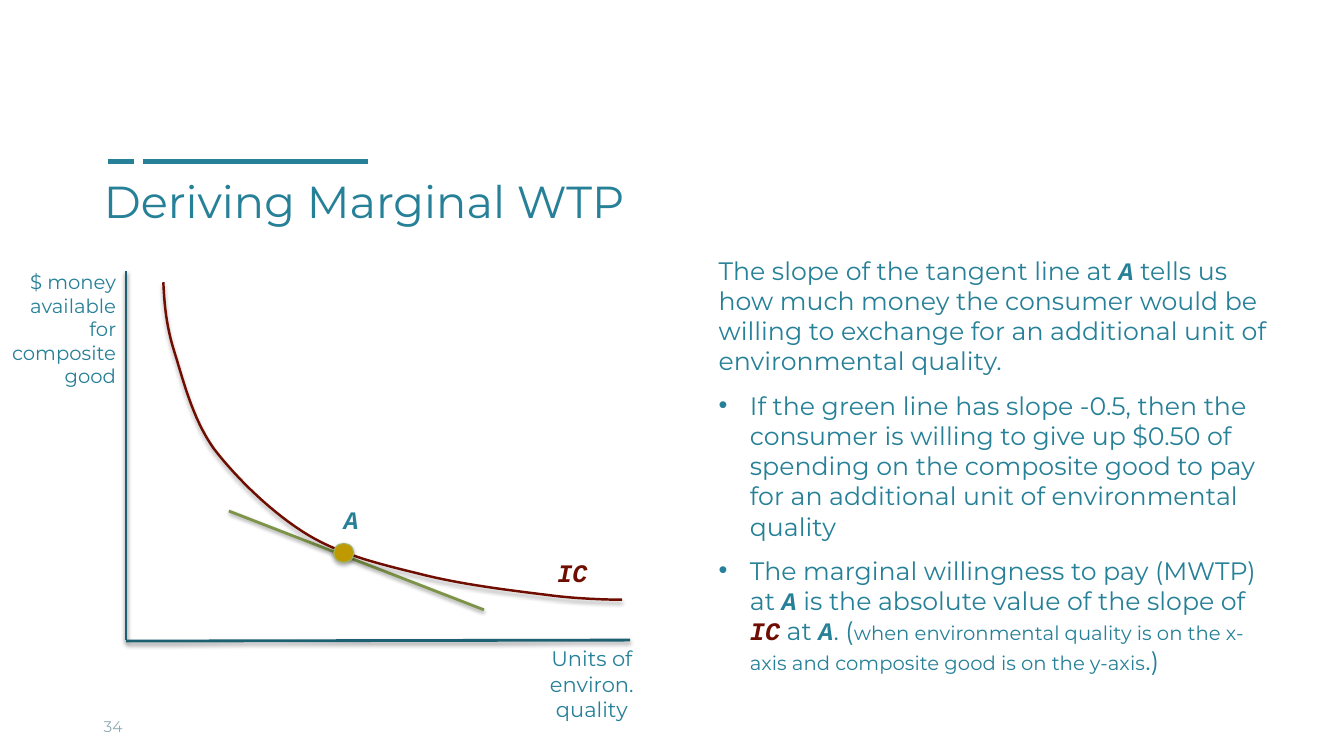
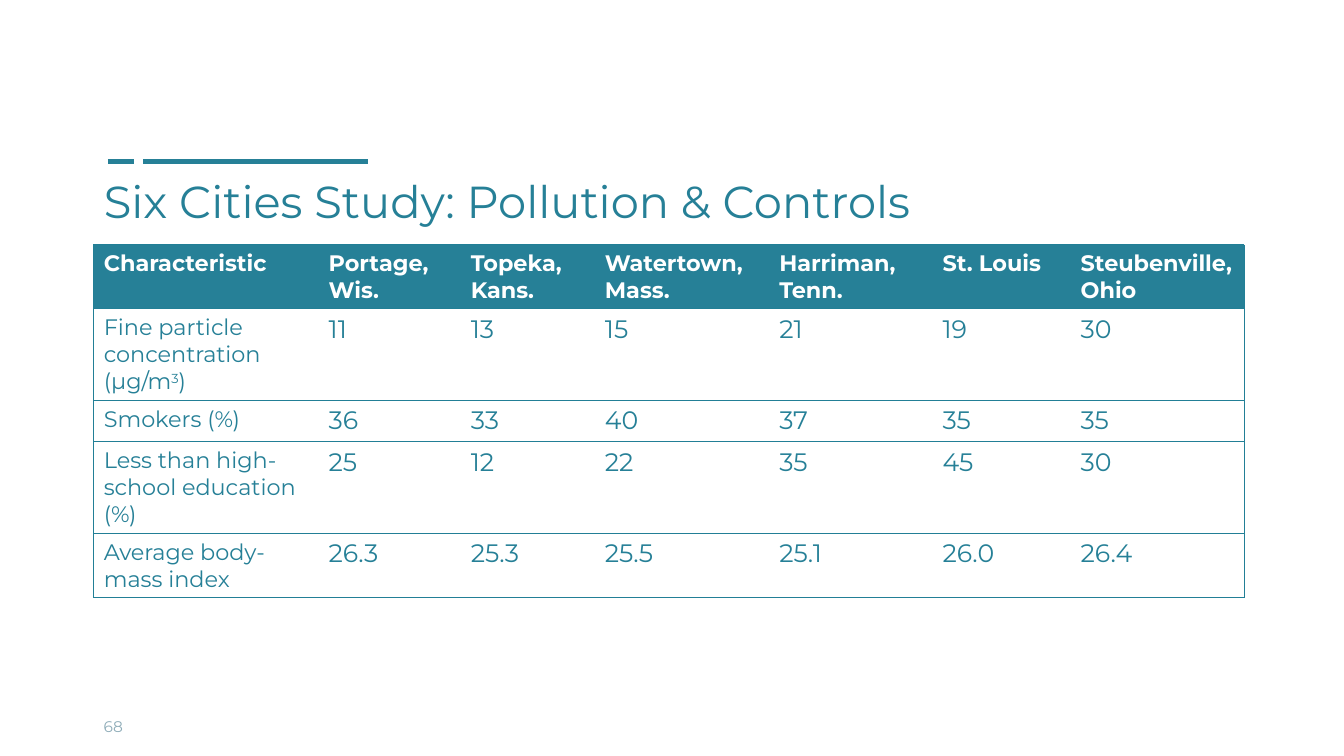
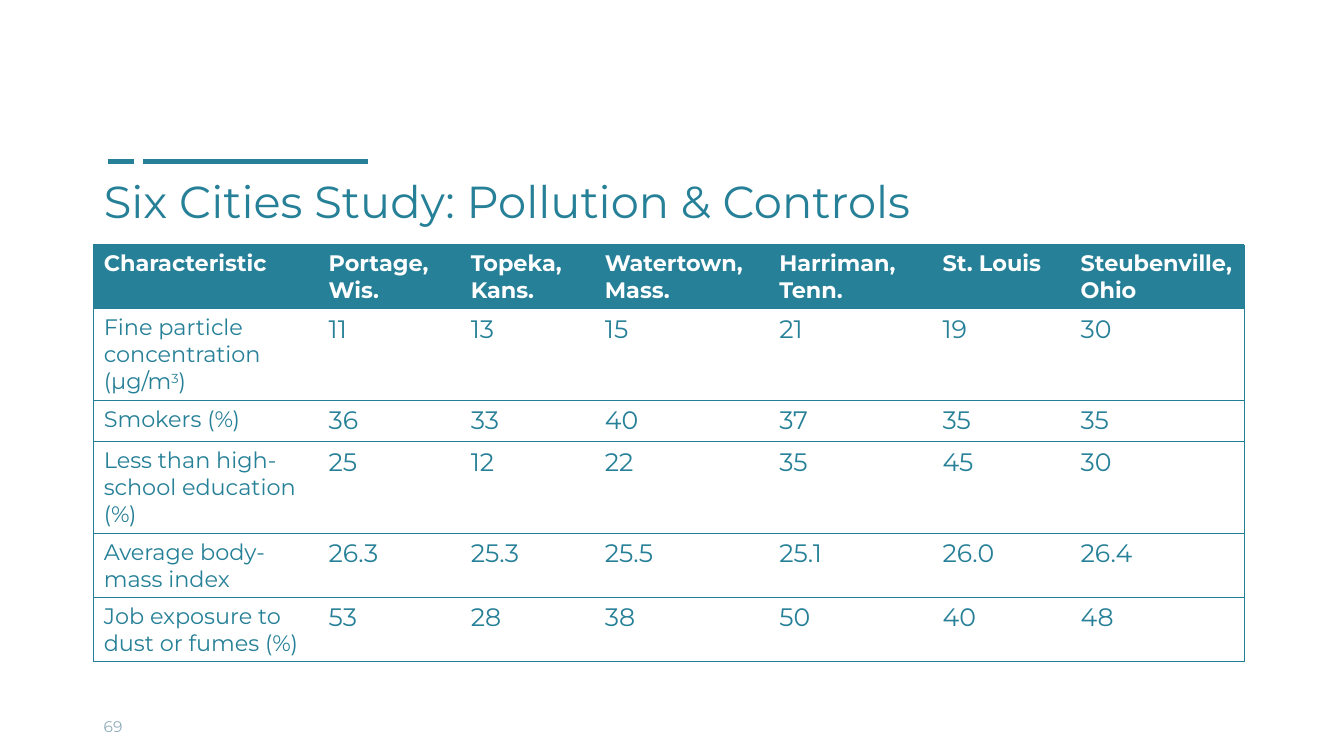
"""Build three slides on willingness to pay and the Six Cities study."""
from lxml import etree
from pptx import Presentation
from pptx.dml.color import RGBColor as RGB
from pptx.enum.shapes import MSO_CONNECTOR as LINE, MSO_SHAPE as SHAPE
from pptx.enum.text import MSO_ANCHOR as ANCHOR, MSO_AUTO_SIZE as FIT, PP_ALIGN as ALIGN
from pptx.oxml.ns import qn
from pptx.util import Inches, Pt

COLORS = {"teal": "268097", "axis": "1D6071", "border": "227F96", "number": "8EACB8",
          "green": "7D9348", "curve": "6F0D00", "gold": "BF9900", "rim": "9EB569",
          "white": "FFFFFF", "black": "000000"}
MONO = {"font": "Courier New", "bold": True, "italic": True}
IC = {**MONO, "color": "curve"}


def write(p, text, size=18, color="teal", font="Montserrat", bold=False, italic=False, raised=False):
    r = p.add_run()
    r.text = text
    r.font.size, r.font.name = Pt(size), font
    r.font.bold, r.font.italic = bold, italic
    r.font.color.rgb = RGB.from_string(COLORS[color])
    if raised:
        r._r.get_or_add_rPr().set("baseline", "30000")


def outline(sp, color, width, alpha=0, dist=1.6):
    sp.line.color.rgb = RGB.from_string(COLORS[color])
    sp.line.width = Pt(width)
    effects = etree.SubElement(sp._element.spPr, qn("a:effectLst"))
    if alpha:
        shadow = etree.SubElement(effects, qn("a:outerShdw"), blurRad=str(Pt(3.1)),
                                  dist=str(Pt(dist)), dir="5400000", rotWithShape="0")
        tint = etree.SubElement(shadow, qn("a:srgbClr"), val=COLORS["black"])
        etree.SubElement(tint, qn("a:alpha"), val=str(alpha * 1000))


prs = Presentation()
prs.slide_width, prs.slide_height = Inches(13.33), Inches(7.5)

slides = []
for title, number in [("Deriving Marginal WTP", "34"),
                      ("Six Cities Study: Pollution & Controls", "68"),
                      ("Six Cities Study: Pollution & Controls", "69")]:
    s = prs.slides.add_slide(prs.slide_layouts[5])
    for x1, x2 in [(1.42, 3.65), (1.07, 1.33)]:
        bar = s.shapes.add_connector(LINE.STRAIGHT, Inches(x1), Inches(1.6), Inches(x2), Inches(1.6))
        outline(bar, "teal", 3.5)
    sp = s.shapes.title
    sp.left, sp.top, sp.width, sp.height = Inches(0.93), Inches(1.67), Inches(11.11), Inches(0.65)
    tf = sp.text_frame
    tf.auto_size, tf.vertical_anchor = FIT.NONE, ANCHOR.TOP
    tf.paragraphs[0].alignment = ALIGN.LEFT
    write(tf.paragraphs[0], title, size=32)
    tf = s.shapes.add_textbox(Inches(0.93), Inches(7.01), Inches(3.11), Inches(0.4)).text_frame
    tf.word_wrap, tf.vertical_anchor = True, ANCHOR.MIDDLE
    write(tf.paragraphs[0], number, size=11, color="number")
    slides.append(s)

s = slides[0]
for x1, y1, x2, y2, color in [(2.27, 5.07, 4.8, 6.05, "green"),
                              (1.25, 2.69, 1.25, 6.35, "axis"),
                              (6.25, 6.35, 1.25, 6.36, "axis")]:
    sp = s.shapes.add_connector(LINE.STRAIGHT, Inches(x1), Inches(y1), Inches(x2), Inches(y2))
    outline(sp, color, 2, alpha=38)

start = (1.62, 2.8)
beziers = [((1.63, 2.99), (1.64, 3.19), (1.72, 3.46)),
           ((1.81, 3.74), (1.9, 4.14), (2.12, 4.45)),
           ((2.35, 4.75), (2.71, 5.1), (3.06, 5.31)),
           ((3.41, 5.52), (3.83, 5.61), (4.23, 5.71)),
           ((4.64, 5.81), (5.17, 5.87), (5.49, 5.91)),
           ((5.82, 5.95), (6.17, 5.95), (6.17, 5.95))]
STEPS = 16
points = [start]
for b, c, d in beziers:
    a = points[-1]
    for i in range(1, STEPS + 1):
        t = i / STEPS
        u = 1 - t
        points.append(tuple(u**3 * a[k] + 3 * u * u * t * b[k] + 3 * u * t * t * c[k] + t**3 * d[k]
                            for k in (0, 1)))
emu = [(Inches(x), Inches(y)) for x, y in points]
builder = s.shapes.build_freeform(*emu[0])
builder.add_line_segments(emu[1:], close=False)
curve = builder.convert_to_shape()
curve.fill.background()
outline(curve, "curve", 1.75, alpha=35, dist=1.8)

dot = s.shapes.add_shape(SHAPE.OVAL, Inches(3.31), Inches(5.39), Inches(0.2), Inches(0.19))
dot.fill.solid()
dot.fill.fore_color.rgb = RGB.from_string(COLORS["gold"])
outline(dot, "rim", 0.75, alpha=35, dist=1.8)

for x, y, w, h, align, text, style in [
        (3.31, 4.95, 0.35, 0.4, ALIGN.LEFT, "A", MONO),
        (5.43, 5.48, 1.07, 0.4, ALIGN.LEFT, "IC", IC),
        (5.32, 6.36, 1.1, 0.86, ALIGN.CENTER, "Units of environ. quality", {"size": 15}),
        (-0.1, 2.63, 1.35, 1.28, ALIGN.RIGHT, "$ money available for composite good", {"size": 14})]:
    tf = s.shapes.add_textbox(Inches(x), Inches(y), Inches(w), Inches(h)).text_frame
    tf.word_wrap = True
    tf.paragraphs[0].alignment = align
    write(tf.paragraphs[0], text, **style)

body = [
    [("The slope of the tangent line at ", {}), ("A", MONO),
     (" tells us how much money the consumer would be willing to exchange for an additional "
      "unit of environmental quality.", {})],
    [("If the green line has slope -0.5, then the consumer is willing to give up $0.50 of spending "
      "on the composite good to pay for an additional unit of environmental quality", {})],
    [("The marginal willingness to pay (MWTP) at ", {}), ("A", MONO),
     (" is the absolute value of the slope of ", {}), ("IC", IC), (" at ", {}), ("A", MONO),
     (". (", {}),
     ("when environmental quality is on the x-axis and composite good is on the y-axis", {"size": 14}),
     (".)", {})]]
tf = s.shapes.add_textbox(Inches(7.03), Inches(2.48), Inches(5.67), Inches(4.93)).text_frame
tf.word_wrap = True
for i, runs in enumerate(body):
    p = tf.add_paragraph() if i else tf.paragraphs[0]
    if i:
        p.space_before = Pt(10)
        pPr = p._p.get_or_add_pPr()
        pPr.set("marL", str(Inches(0.31)))
        pPr.set("indent", str(-Inches(0.31)))
        etree.SubElement(pPr, qn("a:buFont"), typeface="Arial")
        etree.SubElement(pPr, qn("a:buChar"), char="•")
    for text, style in runs:
        write(p, text, **style)

PLAIN_STYLE = "{2D5ABB26-0587-4C30-8999-92F81FD0307C}"
widths = [2.23, 1.41, 1.33, 1.73, 1.62, 1.37, 1.72]
heights = [0.63, 0.91, 0.41, 0.91, 0.63, 0.63]
data = [
    ["Characteristic", "Portage, Wis.", "Topeka, Kans.", "Watertown, Mass.", "Harriman, Tenn.",
     "St. Louis", "Steubenville, Ohio"],
    ["Fine particle concentration (μg/m^3^)", "11", "13", "15", "21", "19", "30"],
    ["Smokers (%)", "36", "33", "40", "37", "35", "35"],
    ["Less than high-school education (%)", "25", "12", "22", "35", "45", "30"],
    ["Average body-mass index", "26.3", "25.3", "25.5", "25.1", "26.0", "26.4"],
    ["Job exposure to dust or fumes (%)", "53", "28", "38", "50", "40", "48"]]

for s, count in zip(slides[1:], (5, 6)):
    table = s.shapes.add_table(count, len(widths), Inches(0.93), Inches(2.43),
                               Inches(sum(widths)), Inches(sum(heights[:count]))).table
    table._tbl.tblPr.find(qn("a:tableStyleId")).text = PLAIN_STYLE
    table.horz_banding = False
    for column, width in zip(table.columns, widths):
        column.width = Inches(width)
    for i, values in enumerate(data[:count]):
        table.rows[i].height = Inches(heights[i])
        for j, text in enumerate(values):
            cell = table.cell(i, j)
            sides = ["lnL"] * (j == 0) + ["lnR"] * (j == len(widths) - 1) + ["lnT", "lnB"]
            tcPr = cell._tc.get_or_add_tcPr()
            for side in sides:
                ln = etree.SubElement(tcPr, qn("a:" + side), w=str(Pt(0.75)))
                fill = etree.SubElement(ln, qn("a:solidFill"))
                etree.SubElement(fill, qn("a:srgbClr"), val=COLORS["border"])
            if i == 0:
                cell.fill.solid()
                cell.fill.fore_color.rgb = RGB.from_string(COLORS["teal"])
            else:
                cell.fill.background()
            for k, part in enumerate(text.split("^")):
                write(cell.text_frame.paragraphs[0], part, size=18 if i and j else 16,
                      color="teal" if i else "white", bold=i == 0, raised=k == 1)

prs.save("out.pptx")
